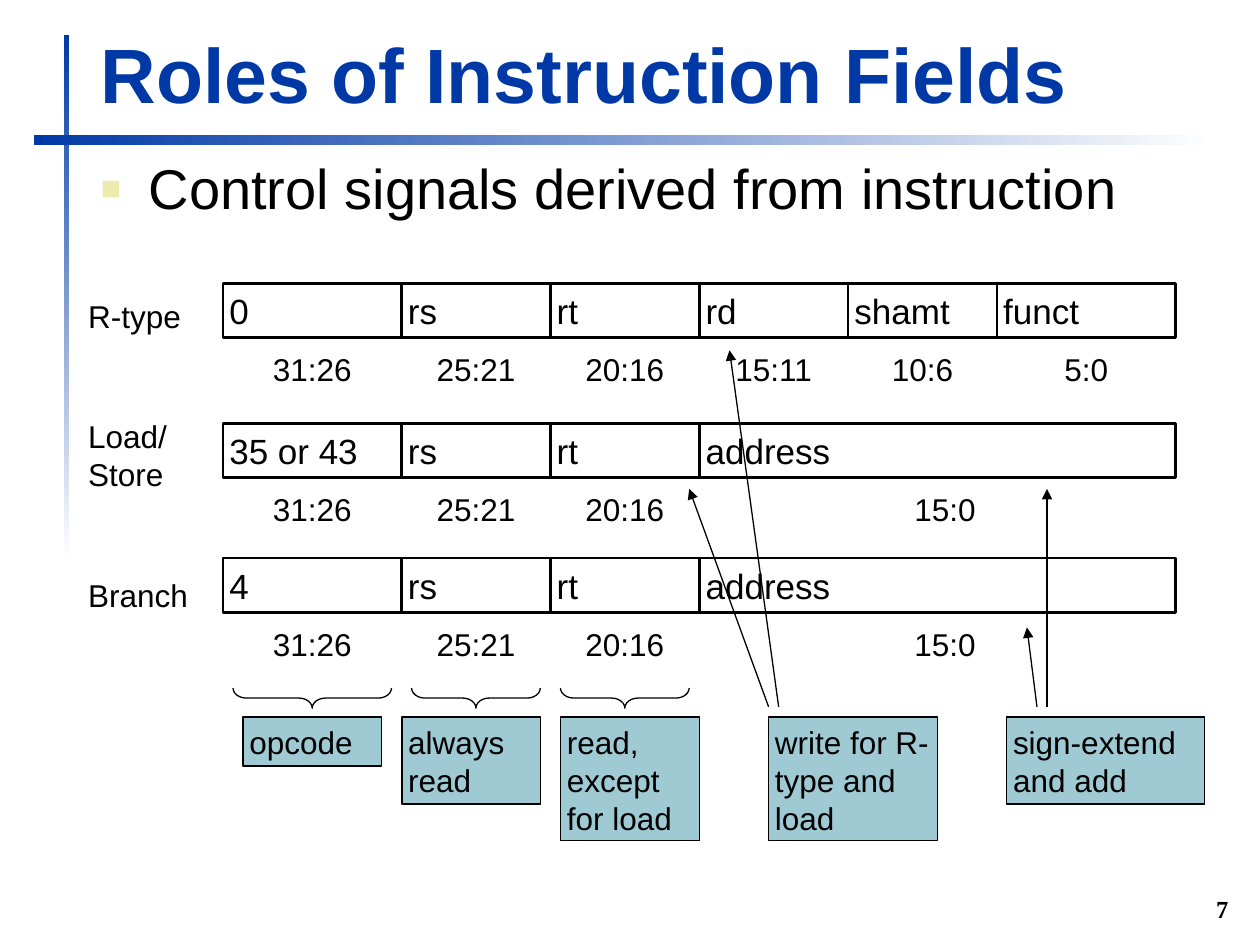
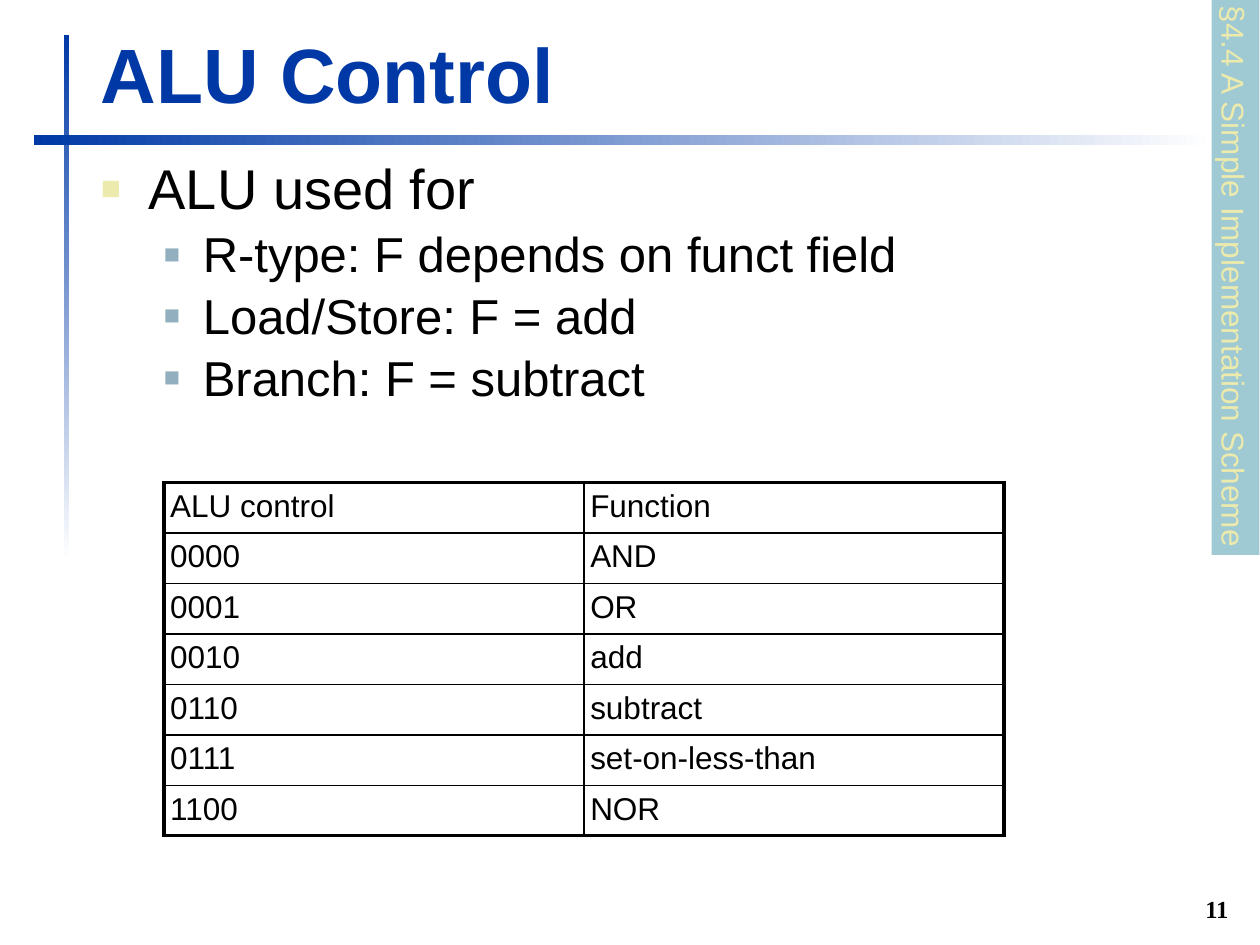
from dataclasses import dataclass

import pptx
import pptx.dml.color
import pptx.enum.shapes
import pptx.enum.text
import pptx.oxml.ns
import pptx.util
from lxml import etree

Inches = pptx.util.Inches
Pt = pptx.util.Pt
MSO_SHAPE = pptx.enum.shapes.MSO_SHAPE
ALIGN = pptx.enum.text.PP_ALIGN
ANCHOR = pptx.enum.text.MSO_ANCHOR


@dataclass(frozen=True)
class Theme:
    blue: str = "0039A6"
    white: str = "FFFFFF"
    black: str = "000000"
    teal: str = "9FCAD3"
    sand: str = "ECEAAC"
    steel: str = "91AFBF"
    font: str = "Arial"
    number_font: str = "Times New Roman"
    title: int = 44
    bullet: int = 32
    sub_bullet: int = 28
    field: int = 20
    label: int = 18
    number: int = 14
    inset: float = 0.05


THEME = Theme()

# Content: each format has a name, name top, row top and fields (text, high bit, low bit)
COMMON_FIELDS = [("rs", 25, 21), ("rt", 20, 16)]
FORMATS = [
    ("R-type", (0.65, 2.31, 0.85, 0.38), 2.25,
     [("0", 31, 26), *COMMON_FIELDS, ("rd", 15, 11), ("shamt", 10, 6), ("funct", 5, 0)]),
    ("Load/\nStore", (0.65, 3.26, 0.74, 0.68), 3.36,
     [("35 or 43", 31, 26), *COMMON_FIELDS, ("address", 15, 0)]),
    ("Branch", (0.65, 4.52, 0.91, 0.38), 4.43,
     [("4", 31, 26), *COMMON_FIELDS, ("address", 15, 0)]),
]
BRACED_FIELDS = [(31, 26), (25, 21), (20, 16)]
# Role notes: text, left, width, height
ROLES = [
    ("opcode", 1.93, 1.1, 0.39),
    ("always read", 3.19, 1.1, 0.69),
    ("read, except for load", 4.45, 1.1, 0.98),
    ("write for R-type and load", 6.1, 1.34, 0.98),
    ("sign-extend and add", 7.99, 1.57, 0.69),
]
# Arrows from above the notes: start x, end x, end y
ARROWS = [(6.1, 5.47, 3.88), (6.18, 5.79, 2.78), (8.23, 8.15, 4.98), (8.31, 8.31, 3.88)]

ROLE_BULLETS = [(0, "Control signals derived from instruction")]
ALU_BULLETS = [
    (0, "ALU used for"),
    (1, "R-type: F depends on funct field"),
    (1, "Load/Store: F = add"),
    (1, "Branch: F = subtract"),
]
SECTION = "§4.4 A Simple Implementation Scheme"
ALU_TABLE = [
    ("ALU control", "Function"),
    ("0000", "AND"),
    ("0001", "OR"),
    ("0010", "add"),
    ("0110", "subtract"),
    ("0111", "set-on-less-than"),
    ("1100", "NOR"),
]

# Geometry of the instruction word
WORD_LEFT, WORD_WIDTH, FIELD_HEIGHT = 1.77, 7.56, 0.43
BITS_OFFSET, ARROW_START, ROLE_TOP = 0.48, 5.61, 5.69
BRACE_CENTER_Y, BRACE_DEPTH, BRACE_MARGIN = 5.54, 0.16, 0.08

# Bullet levels: size, colour, percent, left margin, hanging indent, space before
LEVELS = [
    (THEME.bullet, THEME.sand, 60, 0.38, 0.38, 7),
    (THEME.sub_bullet, THEME.steel, 55, 0.81, 0.31, 5),
]


def rgb(value):
    return pptx.dml.color.RGBColor.from_string(value)


def set_attributes(target, values):
    for name, value in values.items():
        setattr(target, name, value)


def style_runs(paragraph, size, color=THEME.black, bold=False, font=THEME.font):
    for run in paragraph.runs:
        set_attributes(run.font, {"size": Pt(size), "bold": bold, "name": font})
        run.font.color.rgb = rgb(color)


def prepare_frame(shape, wrap=True, anchor=ANCHOR.TOP):
    frame = shape.text_frame
    margins = {f"margin_{side}": Inches(THEME.inset) for side in ("left", "top", "right", "bottom")}
    set_attributes(frame, {**margins, "word_wrap": wrap, "vertical_anchor": anchor})
    return frame


def write(shape, text, size, align=ALIGN.LEFT, wrap=True, anchor=ANCHOR.TOP, **style):
    paragraph = prepare_frame(shape, wrap, anchor).paragraphs[0]
    paragraph.text = text
    paragraph.alignment = align
    style_runs(paragraph, size, **style)


def add_text(slide, box, text, size, **options):
    shape = slide.shapes.add_textbox(*map(Inches, box))
    write(shape, text, size, **options)


def add_shape(slide, box, kind=MSO_SHAPE.RECTANGLE, fill=None, line=None):
    shape = slide.shapes.add_shape(kind, *map(Inches, box))
    shape.shadow.inherit = False
    if fill:
        shape.fill.solid()
        shape.fill.fore_color.rgb = rgb(fill)
    else:
        shape.fill.background()
    if line:
        shape.line.color.rgb = rgb(THEME.black)
        shape.line.width = Pt(line)
    else:
        shape.line.fill.background()
    return shape


def add_band(slide, box, angle):
    band = add_shape(slide, box)
    band.fill.gradient()
    band.fill.gradient_angle = angle
    for stop, color in zip(band.fill.gradient_stops, (THEME.white, THEME.blue)):
        stop.color.rgb = rgb(color)


def add_child(parent, tag, **attributes):
    return etree.SubElement(parent, pptx.oxml.ns.qn(tag), attributes)


def add_bullets(slide, items, height):
    shape = slide.shapes.add_textbox(*map(Inches, (0.75, 1.23, 9.05, height)))
    frame = prepare_frame(shape)
    for index, (level, text) in enumerate(items):
        size, color, percent, left, hanging, before = LEVELS[level]
        paragraph = frame.add_paragraph() if index else frame.paragraphs[0]
        paragraph.text = text
        set_attributes(paragraph, {"level": level, "space_before": Pt(before), "line_spacing": 0.9})
        style_runs(paragraph, size)
        properties = paragraph._p.get_or_add_pPr()
        properties.set("marL", str(Inches(left)))
        properties.set("indent", str(-Inches(hanging)))
        add_child(add_child(properties, "a:buClr"), "a:srgbClr", val=color)
        add_child(properties, "a:buSzPct", val=str(percent * 1000))
        add_child(properties, "a:buFont", typeface=THEME.font)
        add_child(properties, "a:buChar", char="■")


def add_arrow(slide, start, end):
    arrow = slide.shapes.add_connector(
        pptx.enum.shapes.MSO_CONNECTOR.STRAIGHT, *map(Inches, (*start, *end)))
    arrow.line.color.rgb = rgb(THEME.black)
    arrow.line.width = Pt(0.75)
    add_child(arrow.line._get_or_add_ln(), "a:tailEnd", type="triangle")
    add_child(arrow._element.spPr, "a:effectLst")


def start_slide(presentation, title, number):
    slide = presentation.slides.add_slide(presentation.slide_layouts[6])
    add_band(slide, (0.51, 0.28, 0.04, 4.17), 90)
    add_band(slide, (0.27, 1.07, 9.37, 0.08), 180)
    add_text(slide, (9.47, 7.06, 0.33, 0.32), number, THEME.number, align=ALIGN.RIGHT,
             anchor=ANCHOR.BOTTOM, bold=True, font=THEME.number_font)
    add_text(slide, (0.75, 0.16, 9.03, 0.83), title, THEME.title,
             anchor=ANCHOR.BOTTOM, color=THEME.blue, bold=True)
    return slide


def field_span(high, low):
    """Left edge and width of a bit range."""
    bit = WORD_WIDTH / 32
    return WORD_LEFT + (31 - high) * bit, (high - low + 1) * bit


def build_fields_slide(presentation):
    slide = start_slide(presentation, "Roles of Instruction Fields", "7")
    add_bullets(slide, ROLE_BULLETS, 0.76)

    # Instruction formats with their bit ranges
    for name, name_box, top, fields in FORMATS:
        add_text(slide, name_box, name, THEME.label, wrap=False)
        for text, high, low in fields:
            left, width = field_span(high, low)
            field = add_shape(slide, (left, top, width, FIELD_HEIGHT), line=1.5)
            write(field, text, THEME.field)
            bits = f"{high}:{low}"
            bits_width = 0.14 * len(bits) + 0.04
            center = left + width / 2 + (0.06 if bits == "15:0" else 0)
            add_text(slide, (center - bits_width / 2, top + BITS_OFFSET, bits_width, 0.38),
                     bits, THEME.label, align=ALIGN.CENTER, wrap=False)

    # Braces under the shared fields
    for high, low in BRACED_FIELDS:
        left, width = field_span(high, low)
        span = width - 2 * BRACE_MARGIN
        box = (left + width / 2 - BRACE_DEPTH / 2, BRACE_CENTER_Y - span / 2, BRACE_DEPTH, span)
        brace = add_shape(slide, box, MSO_SHAPE.LEFT_BRACE, line=0.75)
        brace.rotation = 270
        brace.adjustments[0] = 0.66

    # Role notes and arrows
    for text, left, width, height in ROLES:
        note = add_shape(slide, (left, ROLE_TOP, width, height), fill=THEME.teal, line=0.75)
        write(note, text, THEME.label)
    for start_x, end_x, end_y in ARROWS:
        add_arrow(slide, (start_x, ARROW_START), (end_x, end_y))


def set_border(cell, side, width):
    line = add_child(cell._tc.get_or_add_tcPr(), f"a:ln{side}", w=str(Pt(width)))
    add_child(add_child(line, "a:solidFill"), "a:srgbClr", val=THEME.black)


def build_alu_slide(presentation):
    slide = start_slide(presentation, "ALU Control", "11")
    add_bullets(slide, ALU_BULLETS, 2.6)

    # Section tab on the right edge
    tab = add_shape(slide, (7.6, 2.01, 4.41, 0.38), fill=THEME.teal)
    tab.rotation = 90
    write(tab, SECTION, THEME.label, wrap=False, color=THEME.sand)

    # Table: heavy frame, medium rule under the header, thin rules elsewhere
    rows, columns = len(ALU_TABLE), len(ALU_TABLE[0])
    table = slide.shapes.add_table(
        rows, columns, *map(Inches, (1.3, 3.83, 6.67, 0.4 * rows))).table
    table.first_row = table.horz_banding = False
    outer, header, inner = 2.25, 1.5, 1
    horizontal = [outer, header] + [inner] * (rows - 2) + [outer]
    vertical = [outer] + [inner] * (columns - 1) + [outer]
    for row, values in enumerate(ALU_TABLE):
        for column, text in enumerate(values):
            cell = table.cell(row, column)
            sides = {"L": vertical[column], "R": vertical[column + 1],
                     "T": horizontal[row], "B": horizontal[row + 1]}
            for side, width in sides.items():
                set_border(cell, side, width)
            cell.fill.background()
            for side in ("left", "top", "right", "bottom"):
                setattr(cell, f"margin_{side}", Inches(THEME.inset))
            cell.text = text
            paragraph = cell.text_frame.paragraphs[0]
            paragraph.space_before = Pt(4)
            style_runs(paragraph, THEME.label)


def main():
    presentation = pptx.Presentation()
    presentation.slide_width, presentation.slide_height = Inches(10), Inches(7.5)
    build_fields_slide(presentation)
    build_alu_slide(presentation)
    presentation.save("out.pptx")


if __name__ == "__main__":
    main()
